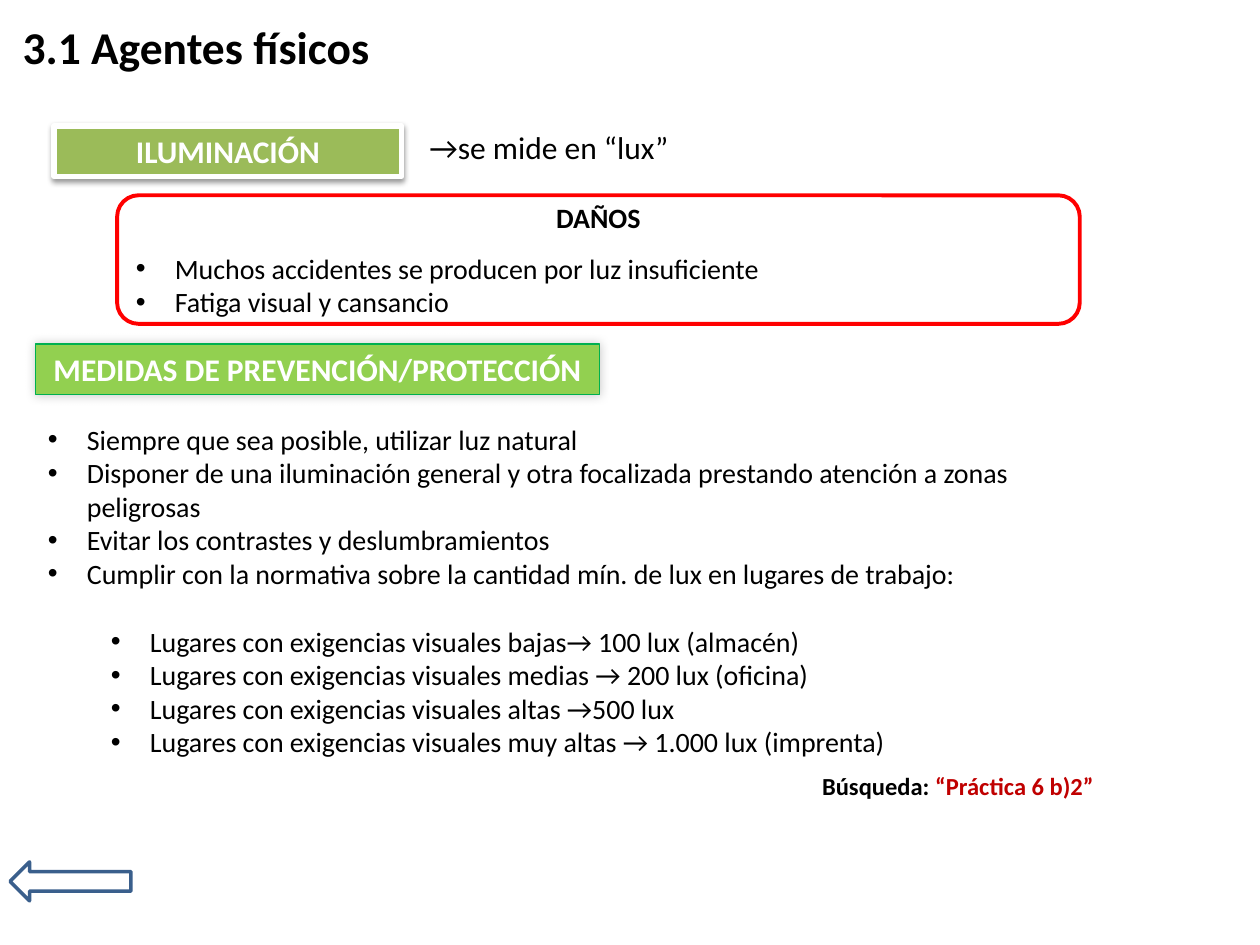
"""Build the slide on lighting as a physical agent."""
from dataclasses import dataclass
from typing import Optional

import pptx
import pptx.dml.color
import pptx.enum.shapes
import pptx.enum.text
import pptx.oxml
import pptx.oxml.ns
import pptx.util
from pptx.util import Inches

RGBColor = pptx.dml.color.RGBColor
Align = pptx.enum.text.PP_ALIGN
Anchor = pptx.enum.text.MSO_ANCHOR
Preset = pptx.enum.shapes.MSO_SHAPE

BLACK = RGBColor(0x00, 0x00, 0x00)
WHITE = RGBColor(0xFF, 0xFF, 0xFF)
RED = RGBColor(0xFF, 0x00, 0x00)
DARK_RED = RGBColor(0xC0, 0x00, 0x00)
OLIVE = RGBColor(0x9B, 0xBB, 0x59)
LIME = RGBColor(0x92, 0xD0, 0x50)
GREEN = RGBColor(0x00, 0xB0, 0x50)
BLUE = RGBColor(0x3A, 0x5F, 0x8C)

DAMAGES = (
    "Muchos accidentes se producen por luz insuficiente",
    "Fatiga visual y cansancio",
)
MEASURES = (
    "Siempre que sea posible, utilizar luz natural",
    "Disponer de una iluminación general y otra focalizada prestando atención a zonas peligrosas",
    "Evitar los contrastes y deslumbramientos",
    "Cumplir con la normativa sobre la cantidad mín. de lux en lugares de trabajo:",
)
LIGHT_LEVELS = (
    "Lugares con exigencias visuales bajas→ 100 lux (almacén)",
    "Lugares con exigencias visuales medias → 200 lux (oficina)",
    "Lugares con exigencias visuales altas →500 lux",
    "Lugares con exigencias visuales muy altas → 1.000 lux (imprenta)",
)


@dataclass(frozen=True)
class Area:
    left: float
    top: float
    width: float
    height: float

    def lengths(self) -> tuple:
        return tuple(Inches(n) for n in (self.left, self.top, self.width, self.height))


@dataclass(frozen=True)
class Shadow:
    opacity: int
    blur: float
    distance: float
    angle: int


@dataclass(frozen=True)
class Figure:
    area: Area
    preset: int
    line: RGBColor
    line_width: float
    fill: Optional[RGBColor] = None
    shadow: Optional[Shadow] = None
    label: str = ""


FIGURES = (
    Figure(Area(0.08, 6.84, 0.96, 0.31), Preset.LEFT_ARROW, BLUE, 2),
    Figure(Area(0.28, 2.73, 4.48, 0.4), Preset.RECTANGLE, GREEN, 0.75, LIME,
           Shadow(20, 6, 0, 225), "MEDIDAS DE PREVENCIÓN/PROTECCIÓN"),
    Figure(Area(0.43, 1, 2.76, 0.4), Preset.RECTANGLE, WHITE, 3, OLIVE,
           Shadow(38, 3.1, 1.6, 90), "ILUMINACIÓN"),
)


def place(shape, area: Area) -> None:
    shape.left, shape.top, shape.width, shape.height = area.lengths()


def style(para, size: float, color: RGBColor = BLACK, bold: bool = False,
          align: int = Align.LEFT) -> None:
    para.alignment = align
    para.font.name = "Calibri"
    para.font.size = pptx.util.Pt(size)
    para.font.bold = bold
    para.font.color.rgb = color


def add_bullets(frame, items: tuple, level: int = 0, gap: float = 0) -> None:
    for index, item in enumerate(items):
        first = frame.paragraphs[0]
        para = frame.add_paragraph() if first.text else first
        para.text = item
        para.level = level
        para.space_before = pptx.util.Pt(0 if index else gap)
        props = para._p.get_or_add_pPr()
        props.set("marL", str(Inches(0.31 + 0.5 * level)))
        props.set("indent", str(Inches(-0.31)))
        for tag, name, value in (("a:buFont", "typeface", "Arial"), ("a:buChar", "char", "•")):
            pptx.oxml.ns.qn(tag)
            bullet = props.makeelement(pptx.oxml.ns.qn(tag), {name: value})
            props.append(bullet)
        style(para, 16)


def add_shadow(shape, shadow: Shadow) -> None:
    effects = shape._element.spPr.find(pptx.oxml.ns.qn("a:effectLst"))
    effects.append(pptx.oxml.parse_xml(
        f'<a:outerShdw {pptx.oxml.ns.nsdecls("a")} blurRad="{pptx.util.Pt(shadow.blur)}" '
        f'dist="{pptx.util.Pt(shadow.distance)}" dir="{shadow.angle * 60000}" rotWithShape="0">'
        f'<a:srgbClr val="000000"><a:alpha val="{shadow.opacity * 1000}"/></a:srgbClr>'
        '</a:outerShdw>'))


def add_figure(page, figure: Figure):
    shape = page.shapes.add_shape(figure.preset, *figure.area.lengths())
    shape.shadow.inherit = False
    shape.line.color.rgb = figure.line
    shape.line.width = pptx.util.Pt(figure.line_width)
    if figure.fill is None:
        shape.fill.background()
    else:
        shape.fill.solid()
        shape.fill.fore_color.rgb = figure.fill
    if figure.shadow:
        add_shadow(shape, figure.shadow)
    if figure.label:
        shape.text_frame.vertical_anchor = Anchor.TOP
        para = shape.text_frame.paragraphs[0]
        para.text = figure.label
        style(para, 18, WHITE, True, Align.CENTER)
    return shape


def add_text_box(page, area: Area):
    box = page.shapes.add_textbox(*area.lengths())
    box.text_frame.word_wrap = True
    return box.text_frame.paragraphs[0]


def main() -> None:
    deck = pptx.Presentation()
    deck.slide_width, deck.slide_height = Inches(10), Inches(7.5)
    page = deck.slides.add_slide(deck.slide_layouts[1])

    title, body = page.placeholders
    place(title, Area(0.08, 0.05, 9.92, 0.63))
    place(body, Area(0.28, 3.3, 8.54, 3.06))
    for holder in (title, body):
        holder.text_frame.auto_size = pptx.enum.text.MSO_AUTO_SIZE.NONE
    title.text_frame.vertical_anchor = Anchor.MIDDLE
    title.text = "3.1 Agentes físicos"
    style(title.text_frame.paragraphs[0], 26, bold=True)
    add_bullets(body.text_frame, MEASURES)
    add_bullets(body.text_frame, LIGHT_LEVELS, level=1, gap=19.5)

    for figure in FIGURES:
        add_figure(page, figure)

    damage_box = add_figure(
        page, Figure(Area(0.93, 1.55, 7.64, 1.02), Preset.ROUNDED_RECTANGLE, RED, 2.25))
    frame = damage_box.text_frame
    frame.vertical_anchor = Anchor.MIDDLE
    frame.paragraphs[0].text = "DAÑOS"
    style(frame.paragraphs[0], 16, bold=True, align=Align.CENTER)
    add_bullets(frame, DAMAGES, gap=9.75)

    unit = add_text_box(page, Area(3.31, 0.97, 5.65, 0.4))
    unit.text = "→se mide en “lux”"
    style(unit, 18)

    search = add_text_box(page, Area(6.11, 6.07, 3.03, 0.34))
    style(search, 14, bold=True, align=Align.CENTER)
    search.add_run().text = "Búsqueda:"
    span = search.add_run()
    span.text = " “Práctica 6 b)2” "
    span.font.color.rgb = DARK_RED

    deck.save("out.pptx")


if __name__ == "__main__":
    main()
